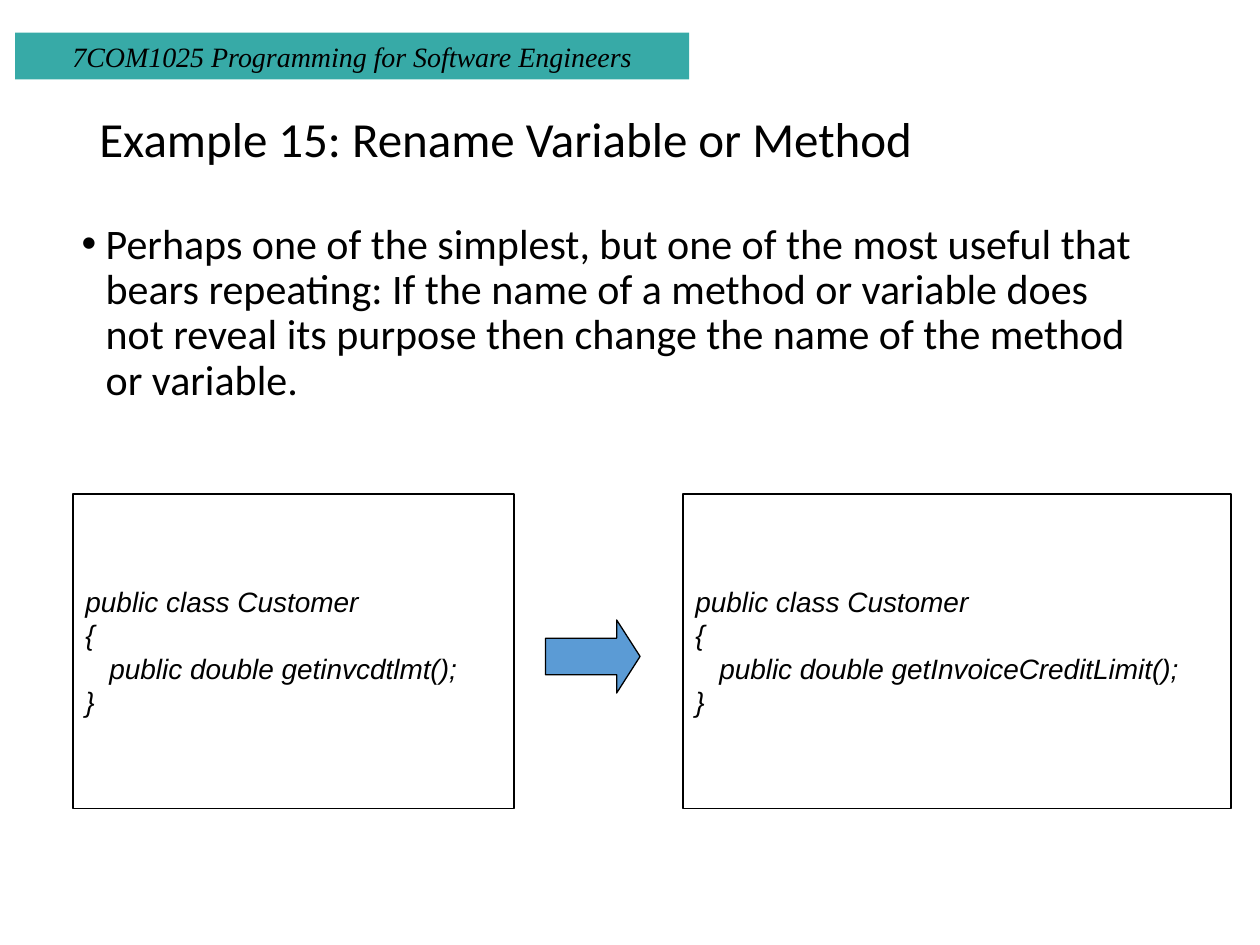
from pptx import Presentation
from pptx.dml.color import RGBColor
from pptx.enum.shapes import MSO_SHAPE
from pptx.enum.text import MSO_ANCHOR, PP_ALIGN
from pptx.oxml import parse_xml
from pptx.oxml.ns import nsdecls
from pptx.util import Inches, Pt

THEME = {
    "ink": RGBColor(0x00, 0x00, 0x00),
    "banner": RGBColor(0x37, 0xAA, 0xA7),
    "arrow": RGBColor(0x5B, 0x9B, 0xD5),
    "small": Pt(16),
    "body": Pt(24),
    "title": Pt(28),
    "outline": Pt(0.75),
}

deck = Presentation()
deck.slide_width, deck.slide_height = Inches(10), Inches(7.5)
page = deck.slides.add_slide(deck.slide_layouts[6])


def add_box(kind, left, top, width, height, fill=None, outlined=False):
    box = page.shapes.add_shape(
        kind, Inches(left), Inches(top), Inches(width), Inches(height))
    box.shadow.inherit = False
    if fill is None:
        box.fill.background()
    else:
        box.fill.solid()
        box.fill.fore_color.rgb = fill
    if outlined:
        box.line.color.rgb = THEME["ink"]
        box.line.width = THEME["outline"]
    else:
        box.line.fill.background()
    return box


def write(box, text, font, size, italic=False, align=PP_ALIGN.LEFT,
          anchor=MSO_ANCHOR.MIDDLE, wrap=True):
    frame = box.text_frame
    frame.text = text
    frame.word_wrap = wrap
    frame.vertical_anchor = anchor
    for para in frame.paragraphs:
        para.alignment = align
        for span in para.runs:
            span.font.name = font
            span.font.size = THEME[size]
            span.font.italic = italic
            span.font.color.rgb = THEME["ink"]
    return frame.paragraphs


# Course banner
banner = add_box(MSO_SHAPE.RECTANGLE, 0.12, 0.26, 5.35, 0.37, THEME["banner"])
write(banner, "7COM1025 Programming for Software Engineers",
      "Times New Roman", "small", italic=True, align=PP_ALIGN.CENTER)

# Title
title = page.shapes.add_textbox(
    Inches(0.69), Inches(0.4), Inches(8.62), Inches(1.45))
heading = write(title, "Example 15: Rename Variable or Method",
                "Calibri", "title")[0]
heading.line_spacing = 0.9

# Bulleted explanation
body = page.shapes.add_textbox(
    Inches(0.55), Inches(1.72), Inches(8.62), Inches(1.64))
advice = write(
    body,
    "Perhaps one of the simplest, but one of the most useful that bears "
    "repeating: If the name of a method or variable does not reveal its "
    "purpose then change the name of the method or variable.",
    "Calibri", "body", anchor=MSO_ANCHOR.TOP)[0]
advice.line_spacing = 0.9
advice.space_before = Pt(7.5)
properties = advice._p.get_or_add_pPr()
properties.set("marL", str(Inches(0.19)))
properties.set("indent", str(-Inches(0.19)))
properties.append(parse_xml(f'<a:buFont {nsdecls("a")} typeface="Arial"/>'))
properties.append(parse_xml(f'<a:buChar {nsdecls("a")} char="\u2022"/>'))

# Code before and after the renaming
for left, width, method in ((0.58, 3.5, "getinvcdtlmt"),
                            (5.42, 4.35, "getInvoiceCreditLimit")):
    code = add_box(MSO_SHAPE.RECTANGLE, left, 3.92, width, 2.5, outlined=True)
    lines = write(
        code,
        f"public class Customer\n{{\npublic double {method}();\n}}",
        "Arial", "small", italic=True, wrap=False)
    lines[2]._p.get_or_add_pPr().set("marL", str(Inches(0.19)))

# Arrow between the two versions
arrow = add_box(MSO_SHAPE.RIGHT_ARROW, 4.33, 4.92, 0.75, 0.58,
                THEME["arrow"], outlined=True)
arrow.adjustments[0] = 0.5
arrow.adjustments[1] = 0.32

deck.save("out.pptx")
